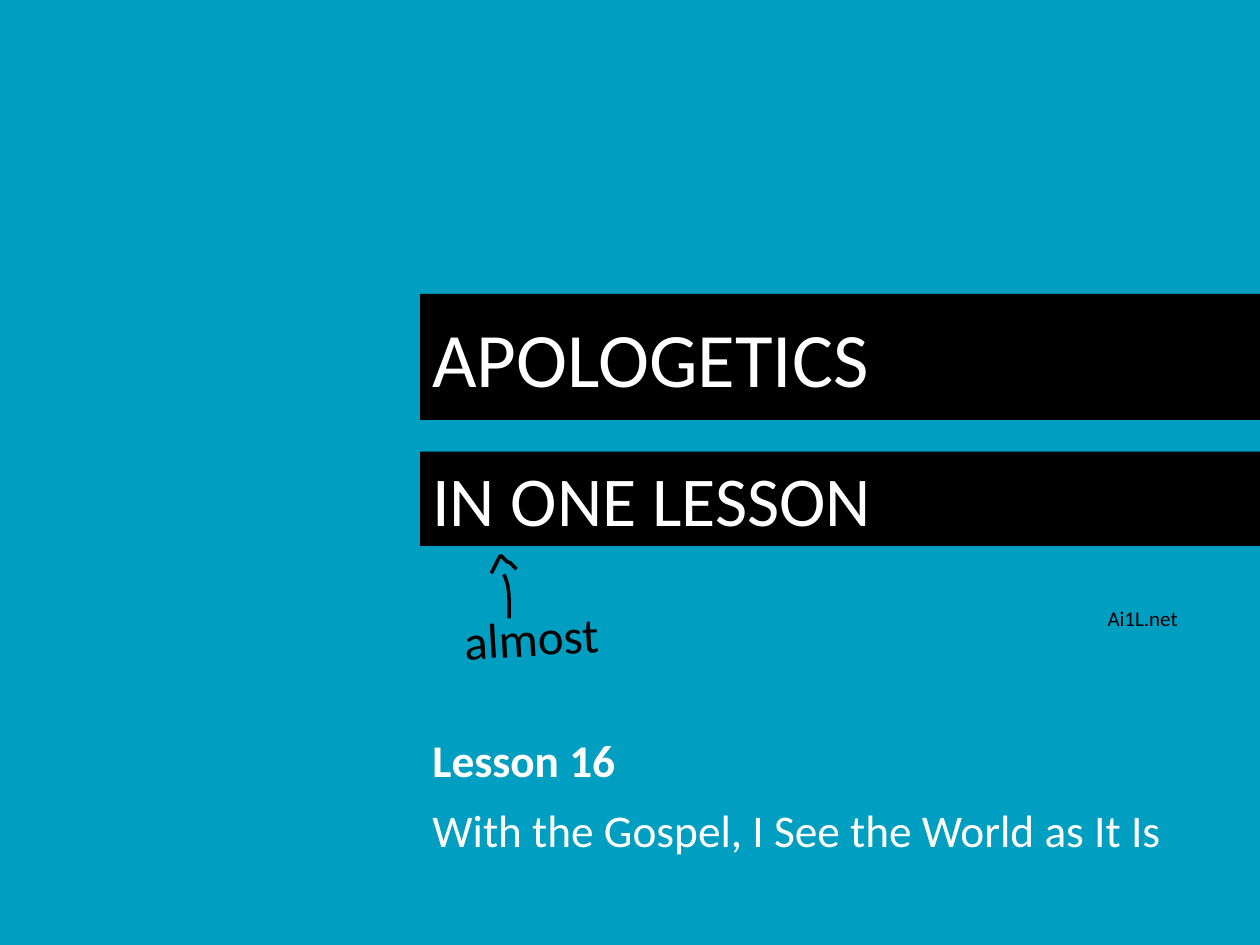
import pptx
import pptx.util
import pptx.dml.color
import pptx.enum.shapes
import pptx.enum.text
from dataclasses import dataclass


@dataclass(frozen=True)
class Theme:
    font: str = "Calibri"
    background: str = "009EC0"
    dark: str = "000000"
    light: str = "FFFFFF"
    title: float = 44
    subtitle: float = 40
    lesson: float = 25.9
    note: float = 28
    site: float = 12
    stroke: float = 2
    paragraph_gap: float = 9


class Deck:
    COLUMNS, ROWS = 120, 90

    def __init__(self, theme):
        self.theme = theme
        self.prs = pptx.Presentation()
        self.prs.slide_width = pptx.util.Inches(10)
        self.prs.slide_height = pptx.util.Inches(7.5)
        self.slide = self.prs.slides.add_slide(self.prs.slide_layouts[6])
        self.paint(self.slide.background.fill, theme.background)

    def x(self, columns):
        return round(self.prs.slide_width * columns / self.COLUMNS)

    def y(self, rows):
        return round(self.prs.slide_height * rows / self.ROWS)

    def box(self, left, top, width, height):
        return self.x(left), self.y(top), self.x(width), self.y(height)

    def paint(self, fill, color):
        fill.solid()
        fill.fore_color.rgb = pptx.dml.color.RGBColor.from_string(color)

    def add_lines(self, sp, lines, size, color):
        tf = sp.text_frame
        tf.word_wrap = True
        for i, (text, bold) in enumerate(lines):
            p = tf.paragraphs[0] if i == 0 else tf.add_paragraph()
            p.alignment = pptx.enum.text.PP_ALIGN.LEFT
            if i:
                p.space_before = pptx.util.Pt(self.theme.paragraph_gap)
            r = p.add_run()
            r.text = text
            r.font.name = self.theme.font
            r.font.size = pptx.util.Pt(size)
            r.font.bold = bold
            r.font.color.rgb = pptx.dml.color.RGBColor.from_string(color)

    def bar(self, cells, text, size):
        sp = self.slide.shapes.add_shape(
            pptx.enum.shapes.MSO_SHAPE.RECTANGLE, *self.box(*cells))
        sp.shadow.inherit = False
        self.paint(sp.fill, self.theme.dark)
        sp.line.fill.background()
        tf = sp.text_frame
        tf.margin_top = tf.margin_bottom = 0
        tf.vertical_anchor = pptx.enum.text.MSO_ANCHOR.MIDDLE
        self.add_lines(sp, [(text, False)], size, self.theme.light)

    def text(self, cells, lines, size, color, rotation=0):
        sp = self.slide.shapes.add_textbox(*self.box(*cells))
        sp.rotation = rotation
        self.add_lines(sp, lines, size, color)

    def stroke(self, points):
        start, *rest = [(self.x(c), self.y(r)) for c, r in points]
        builder = self.slide.shapes.build_freeform(*start)
        builder.add_line_segments(rest, close=False)
        sp = builder.convert_to_shape()
        sp.shadow.inherit = False
        sp.fill.background()
        self.paint(sp.line.fill, self.theme.dark)
        sp.line.width = pptx.util.Pt(self.theme.stroke)


def main():
    theme = Theme()
    deck = Deck(theme)
    deck.bar((40, 28, 80, 12), "APOLOGETICS", theme.title)
    deck.bar((40, 43, 80, 9), "IN ONE LESSON", theme.subtitle)
    deck.text((43, 57.25, 15.4, 6.8), [("almost", False)],
              theme.note, theme.dark, rotation=-3.3)
    deck.stroke([(49.2, 54.2), (48.9, 53.9), (48.6, 53.6), (48.3, 53.5),
                 (48, 53.2), (47.75, 52.95), (47.6, 53), (47.5, 53.2),
                 (47.3, 53.6), (47.1, 54), (46.9, 54.4), (46.8, 54.6)])
    deck.stroke([(48, 54.7), (48.2, 55.2), (48.35, 55.7), (48.45, 56.4),
                 (48.5, 57.3), (48.5, 58.9)])
    deck.text((104.3, 57.1, 15.7, 4.2), [("Ai1L.net", False)],
              theme.site, theme.dark)
    deck.text((40, 69.1, 79.7, 14.9),
              [("Lesson 16", True),
               ("With the Gospel, I See the World as It Is", False)],
              theme.lesson, theme.light)
    deck.prs.save("out.pptx")


if __name__ == "__main__":
    main()
